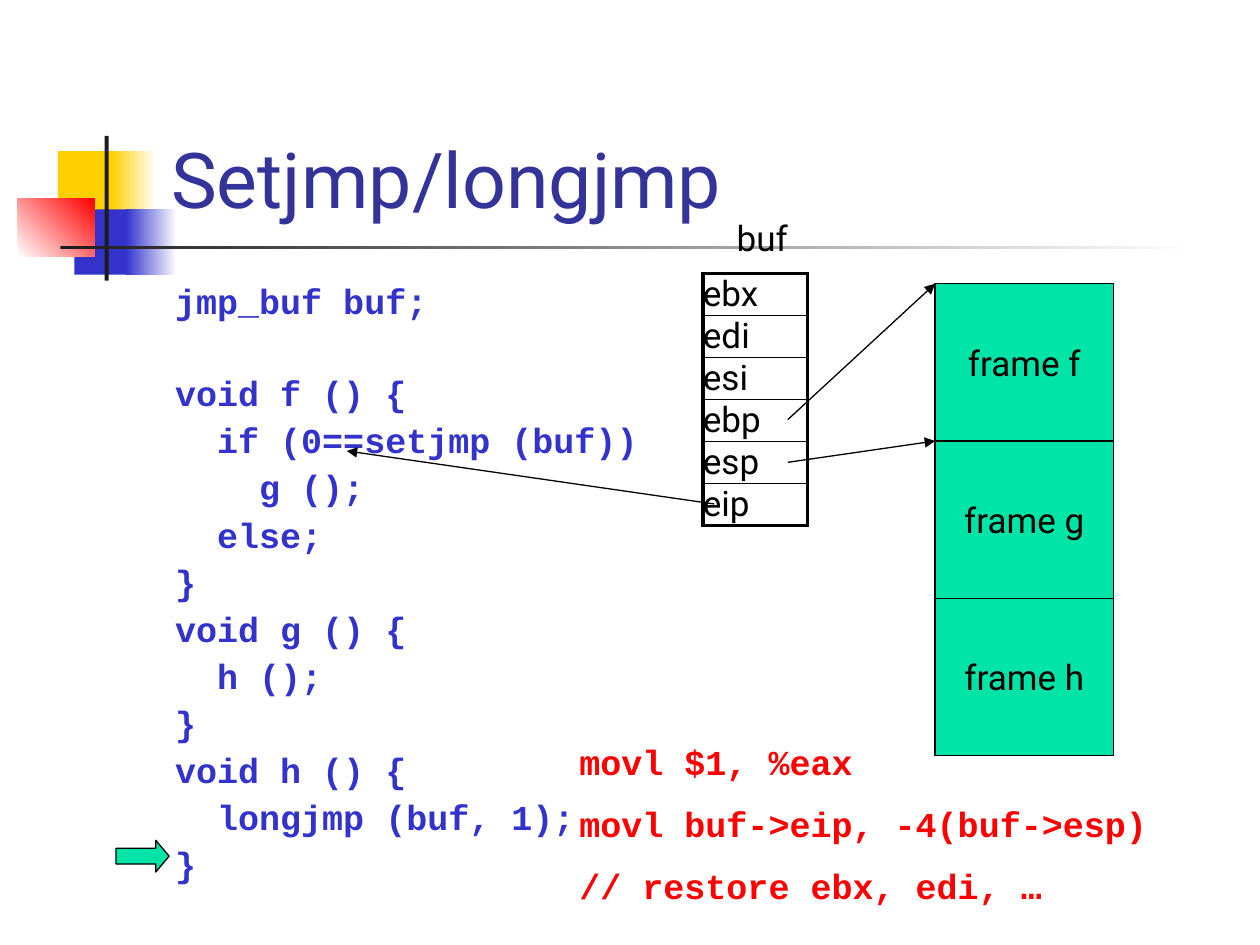
from dataclasses import dataclass

from lxml import etree
from pptx import Presentation
from pptx.dml.color import RGBColor
from pptx.enum.shapes import MSO_CONNECTOR, MSO_SHAPE
from pptx.enum.text import MSO_ANCHOR, PP_ALIGN
from pptx.oxml.ns import qn
from pptx.util import Cm, Pt

RECT, ARROW = MSO_SHAPE.RECTANGLE, MSO_SHAPE.RIGHT_ARROW
STRAIGHT = MSO_CONNECTOR.STRAIGHT
LEFT, CENTER = PP_ALIGN.LEFT, PP_ALIGN.CENTER
TOP, MIDDLE, BOTTOM = MSO_ANCHOR.TOP, MSO_ANCHOR.MIDDLE, MSO_ANCHOR.BOTTOM


@dataclass(frozen=True)
class Theme:
    sans: str = "Roboto"
    mono: str = "Courier New"
    title_size: int = 44
    text_size: int = 20
    title: str = "333399"
    code: str = "3333CC"
    assembly: str = "FF0000"
    ink: str = "000000"
    frame: str = "00E4A8"
    yellow: str = "FFCF01"
    blue: str = "3333CC"
    red: str = "FF0000"
    bar: str = "1C1C1C"
    white: str = "FFFFFF"
    thin: float = 0.75
    inner: float = 1
    outer: float = 2.25


THEME = Theme()

CODE = """jmp_buf buf;

void f () {
  if (0==setjmp (buf))
    g ();
  else;
}
void g () {
  h ();
}
void h () {
  longjmp (buf, 1);
}"""
CODE_GAP, CODE_LINE = 5.3, 25.7
ASSEMBLY = "movl $1, %eax\nmovl buf->eip, -4(buf->esp)\n// restore ebx, edi, …"
REGISTERS = ["ebx", "edi", "esi", "ebp", "esp", "eip"]
FRAMES = ["frame f", "frame g", "frame h"]
FRAME_LEFT, FRAME_TOP, FRAME_WIDTH, FRAME_HEIGHT = 18.85, 5.72, 3.6, 3.17


def rgb(color):
    return RGBColor.from_string(color)


def write(text_frame, text, font=THEME.sans, size=THEME.text_size, color=THEME.ink,
          bold=False, align=LEFT, anchor=TOP, wrap=True, gap=0, blank=0, spacing=None):
    text_frame.word_wrap = wrap
    text_frame.vertical_anchor = anchor
    before, paragraph = 0, None
    for line in text.split("\n"):
        if not line:
            before += blank
            continue
        paragraph = text_frame.add_paragraph() if paragraph else text_frame.paragraphs[0]
        paragraph.text = line
        paragraph.alignment = align
        paragraph.space_before = Pt(before)
        paragraph.line_spacing = spacing
        paragraph.font.name = font
        paragraph.font.size = Pt(size)
        paragraph.font.bold = bold
        paragraph.font.color.rgb = rgb(color)
        before = gap


def add_text(slide, left, top, width, height, text, **style):
    box = slide.shapes.add_textbox(Cm(left), Cm(top), Cm(width), Cm(height))
    write(box.text_frame, text, **style)


def add_block(slide, kind, left, top, width, height, fill, outlined=False):
    block = slide.shapes.add_shape(kind, Cm(left), Cm(top), Cm(width), Cm(height))
    block.shadow.inherit = False
    block.fill.solid()
    block.fill.fore_color.rgb = rgb(fill)
    if outlined:
        block.line.color.rgb = rgb(THEME.ink)
        block.line.width = Pt(THEME.thin)
    else:
        block.line.fill.background()
    return block


def add_fade(slide, left, top, width, height, start, end, angle=0):
    fade = add_block(slide, RECT, left, top, width, height, start)
    fade.fill.gradient()
    fade.fill.gradient_angle = angle
    for stop, color in zip(fade.fill.gradient_stops, (start, end)):
        stop.color.rgb = rgb(color)


def add_pointer(slide, start, end):
    pointer = slide.shapes.add_connector(STRAIGHT, *map(Cm, start + end))
    pointer.line.color.rgb = rgb(THEME.ink)
    pointer.line.width = Pt(THEME.thin)
    etree.SubElement(pointer.line._get_or_add_ln(), qn("a:tailEnd"), type="triangle")
    etree.SubElement(pointer._element.spPr, qn("a:effectLst"))


def set_borders(cell, widths):
    properties = cell._tc.get_or_add_tcPr()
    for index, (side, width) in enumerate(widths.items()):
        border = etree.Element(qn(f"a:ln{side}"), w=str(Pt(width)))
        fill = etree.SubElement(border, qn("a:solidFill"))
        etree.SubElement(fill, qn("a:srgbClr"), val=THEME.ink)
        properties.insert(index, border)


def add_registers(slide, left, top, width, row_height):
    count = len(REGISTERS)
    table = slide.shapes.add_table(count, 1, Cm(left), Cm(top), Cm(width),
                                   Cm(row_height * count)).table
    table.first_row = table.horz_banding = False
    for index, register in enumerate(REGISTERS):
        table.rows[index].height = Cm(row_height)
        cell = table.cell(index, 0)
        cell.margin_left = cell.margin_right = cell.margin_top = cell.margin_bottom = 0
        cell.vertical_anchor = MIDDLE
        cell.fill.background()
        write(cell.text_frame, register)
        set_borders(cell, {
            "L": THEME.outer,
            "R": THEME.outer,
            "T": THEME.outer if index == 0 else THEME.inner,
            "B": THEME.outer if index == count - 1 else THEME.inner,
        })


def add_ornament(slide):
    add_block(slide, RECT, 1.17, 3.05, 1.22, 1.32, THEME.yellow)
    add_fade(slide, 2.24, 3.05, 0.91, 1.32, THEME.yellow, THEME.white)
    add_block(slide, RECT, 1.5, 4.22, 1.17, 1.32, THEME.blue)
    add_fade(slide, 2.54, 4.22, 1.02, 1.32, THEME.blue, THEME.white)
    add_fade(slide, 0.36, 4.01, 1.55, 1.17, THEME.white, THEME.red, angle=45)
    add_block(slide, RECT, 2.11, 2.74, 0.08, 2.92, THEME.bar)
    add_fade(slide, 1.22, 4.95, 22.86, 0.08, THEME.bar, THEME.white)


def add_title(slide, text):
    title = slide.shapes.title
    title.left, title.top, title.width, title.height = map(Cm, (3.2, 0.58, 21.64, 4.06))
    write(title.text_frame, text, size=THEME.title_size, color=THEME.title, anchor=BOTTOM)


def add_frames(slide):
    for index, label in enumerate(FRAMES):
        frame = add_block(slide, RECT, FRAME_LEFT, FRAME_TOP + index * FRAME_HEIGHT,
                          FRAME_WIDTH, FRAME_HEIGHT, THEME.frame, outlined=True)
        write(frame.text_frame, label, align=CENTER, anchor=MIDDLE, wrap=False)


def main():
    deck = Presentation()
    deck.slide_width, deck.slide_height = Cm(25.4), Cm(19.05)
    slide = deck.slides.add_slide(deck.slide_layouts[5])
    add_ornament(slide)
    add_title(slide, "Setjmp/longjmp")
    add_text(slide, 3.28, 5.61, 10.59, 11.43, CODE, font=THEME.mono, color=THEME.code,
             bold=True, gap=CODE_GAP, blank=CODE_LINE, spacing=0.9)
    add_frames(slide)
    add_registers(slide, 14.17, 5.51, 2.11, 0.83)
    add_pointer(slide, (15.88, 8.46), (FRAME_LEFT, FRAME_TOP))
    add_pointer(slide, (15.88, 9.32), (FRAME_LEFT, FRAME_TOP + FRAME_HEIGHT))
    add_pointer(slide, (14.4, 10.16), (6.99, 9.09))
    add_text(slide, 14.6, 4.24, 1.9, 1.09, "buf")
    current_line = add_block(slide, ARROW, 2.34, 16.94, 1.07, 0.64, THEME.frame, outlined=True)
    current_line.adjustments[1] = 0.42
    add_text(slide, 11.43, 14.81, 12.07, 3.63, ASSEMBLY, font=THEME.mono,
             color=THEME.assembly, bold=True, gap=11.4)
    deck.save("out.pptx")


if __name__ == "__main__":
    main()
